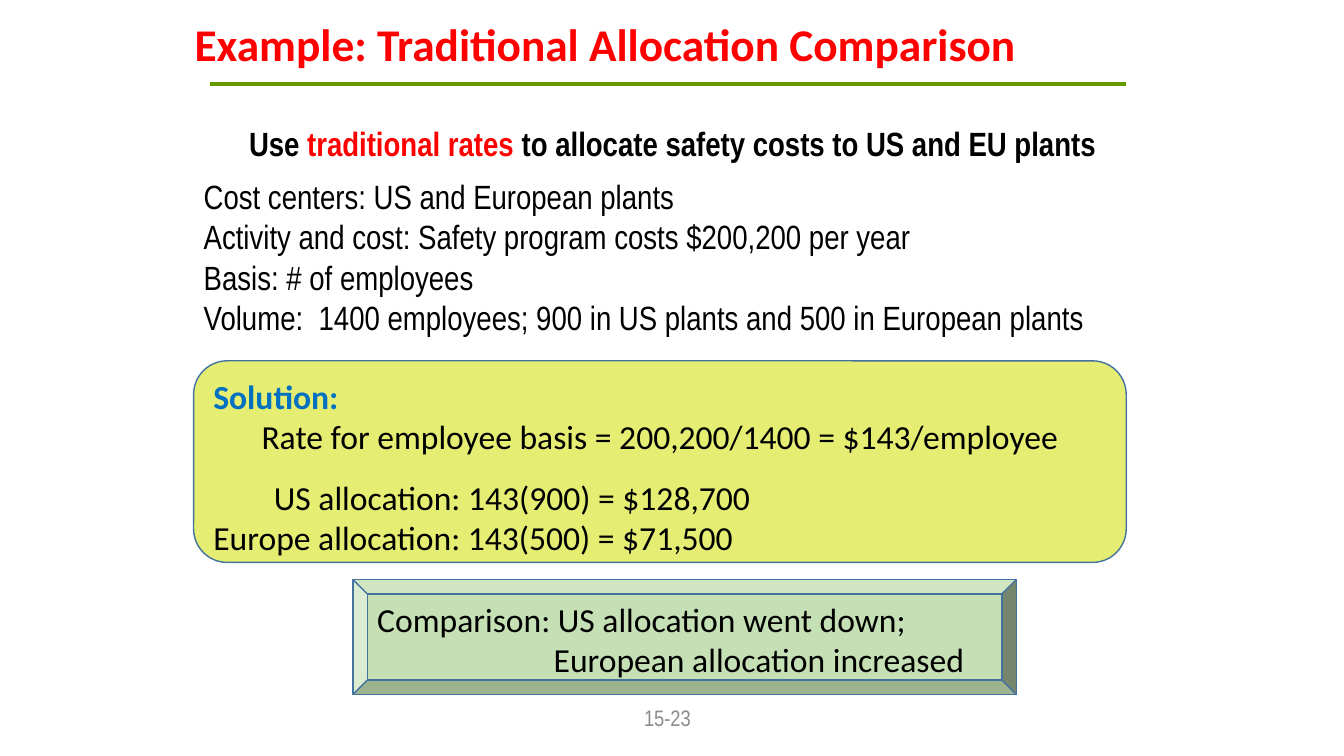
import pptx
import pptx.util
import pptx.dml.color
import pptx.enum.shapes
import pptx.enum.text
import pptx.oxml.ns
from lxml import etree

Inches, Pt = pptx.util.Inches, pptx.util.Pt
RGB = pptx.dml.color.RGBColor
SHAPE = pptx.enum.shapes.MSO_SHAPE
ALIGN = pptx.enum.text.PP_ALIGN
ANCHOR = pptx.enum.text.MSO_ANCHOR

RED = RGB(0xFF, 0x00, 0x00)
BLACK = RGB(0x00, 0x00, 0x00)
BLUE = RGB(0x00, 0x70, 0xC0)
GRAY = RGB(0x8C, 0x8C, 0x8C)
GREEN = RGB(0x66, 0x99, 0x00)
LIME = RGB(0xE5, 0xEE, 0x72)
MINT = RGB(0xC5, 0xE0, 0xB4)
EDGE = RGB(0x43, 0x73, 0x9E)
NARROW, PLAIN = "Arial Narrow", "Calibri"

FACTS = [
    "Cost centers: US and European plants",
    "Activity and cost: Safety program costs $200,200 per year",
    "Basis: # of employees",
    "Volume:  1400 employees; 900 in US plants and 500 in European plants",
]


def place(shape, left, top, width, height):
    shape.left, shape.top = Inches(left), Inches(top)
    shape.width, shape.height = Inches(width), Inches(height)


def set_frame(frame, anchor=ANCHOR.TOP):
    frame.word_wrap = True
    frame.auto_size = pptx.enum.text.MSO_AUTO_SIZE.NONE
    frame.vertical_anchor = anchor


def add_line(frame, parts, font=PLAIN, size=24, color=BLACK, bold=False,
             align=ALIGN.LEFT, before=0, left=0, first=0):
    """Add a paragraph of (text, color) parts; a color of None keeps the base."""
    para = frame.paragraphs[0]
    if para.runs:
        para = frame.add_paragraph()
    para.alignment = align
    para.space_before = Pt(before)
    props = para._p.get_or_add_pPr()
    props.set("marL", str(Inches(left)))
    props.set("indent", str(Inches(first)))
    etree.SubElement(props, pptx.oxml.ns.qn("a:buNone"))
    para.font.name, para.font.size = font, Pt(size)
    para.font.bold, para.font.color.rgb = bold, color
    for text, tint in parts:
        run = para.add_run()
        run.text = text
        if tint is not None:
            run.font.color.rgb = tint
    return para


def add_panel(slide, kind, fill, *box):
    panel = slide.shapes.add_shape(kind, *map(Inches, box))
    panel.shadow.inherit = False
    panel.fill.solid()
    panel.fill.fore_color.rgb = fill
    panel.line.color.rgb = EDGE
    panel.line.width = Pt(1)
    set_frame(panel.text_frame)
    return panel.text_frame


def add_rule(slide, left, right, top):
    rule = slide.shapes.add_connector(
        pptx.enum.shapes.MSO_CONNECTOR.STRAIGHT,
        Inches(left), Inches(top), Inches(right), Inches(top))
    rule.line.color.rgb = GREEN
    rule.line.width = Pt(3)
    etree.SubElement(rule._element.spPr, pptx.oxml.ns.qn("a:effectLst"))


def main():
    deck = pptx.Presentation()
    deck.slide_width, deck.slide_height = Inches(13.33), Inches(7.5)
    slide = deck.slides.add_slide(deck.slide_layouts[1])

    # Title and rule
    title = slide.shapes.title
    place(title, 1.83, 0.17, 9.5, 0.58)
    set_frame(title.text_frame, ANCHOR.MIDDLE)
    head = add_line(title.text_frame,
                    [("Example: Traditional Allocation Comparison", None)],
                    size=32.4, color=RED, bold=True)
    head.line_spacing = 0.9
    add_rule(slide, 2.08, 11.17, 0.83)

    # Task and facts
    body = slide.placeholders[1]
    place(body, 1.92, 1.17, 9.5, 2.42)
    set_frame(body.text_frame)
    hang = {"font": NARROW, "left": 0.38, "first": -0.38}
    add_line(body.text_frame,
             [("Use ", None), ("traditional rates ", RED),
              ("to allocate safety costs to US and EU plants", None)],
             bold=True, align=ALIGN.CENTER, **hang)
    for row, fact in enumerate(FACTS):
        add_line(body.text_frame, [(fact, None)],
                 before=0 if row else 9, **hang)

    # Solution
    frame = add_panel(slide, SHAPE.ROUNDED_RECTANGLE, LIME, 1.92, 3.58, 9.25, 2)
    add_line(frame, [("Solution:", None)], color=BLUE, bold=True)
    add_line(frame,
             [("Rate for employee basis = 200,200/1400 = $143/employee", None)],
             align=ALIGN.CENTER)
    add_line(frame, [("US allocation: 143(900) = $128,700", None)],
             before=14.6, left=0.6)
    add_line(frame, [("Europe allocation: 143(500) = $71,500", None)])

    # Comparison
    frame = add_panel(slide, SHAPE.BEVEL, MINT, 3.5, 5.75, 6.58, 1.14)
    add_line(frame, [("Comparison: US allocation went down;", None)])
    add_line(frame, [("European allocation increased", None)], left=1.75)

    # Page number
    page = slide.shapes.add_textbox(*map(Inches, (6.08, 6.92, 1.08, 0.4)))
    set_frame(page.text_frame, ANCHOR.MIDDLE)
    add_line(page.text_frame, [("15-23", None)], font=NARROW, size=16,
             color=GRAY, align=ALIGN.CENTER)

    deck.save("out.pptx")


if __name__ == "__main__":
    main()
